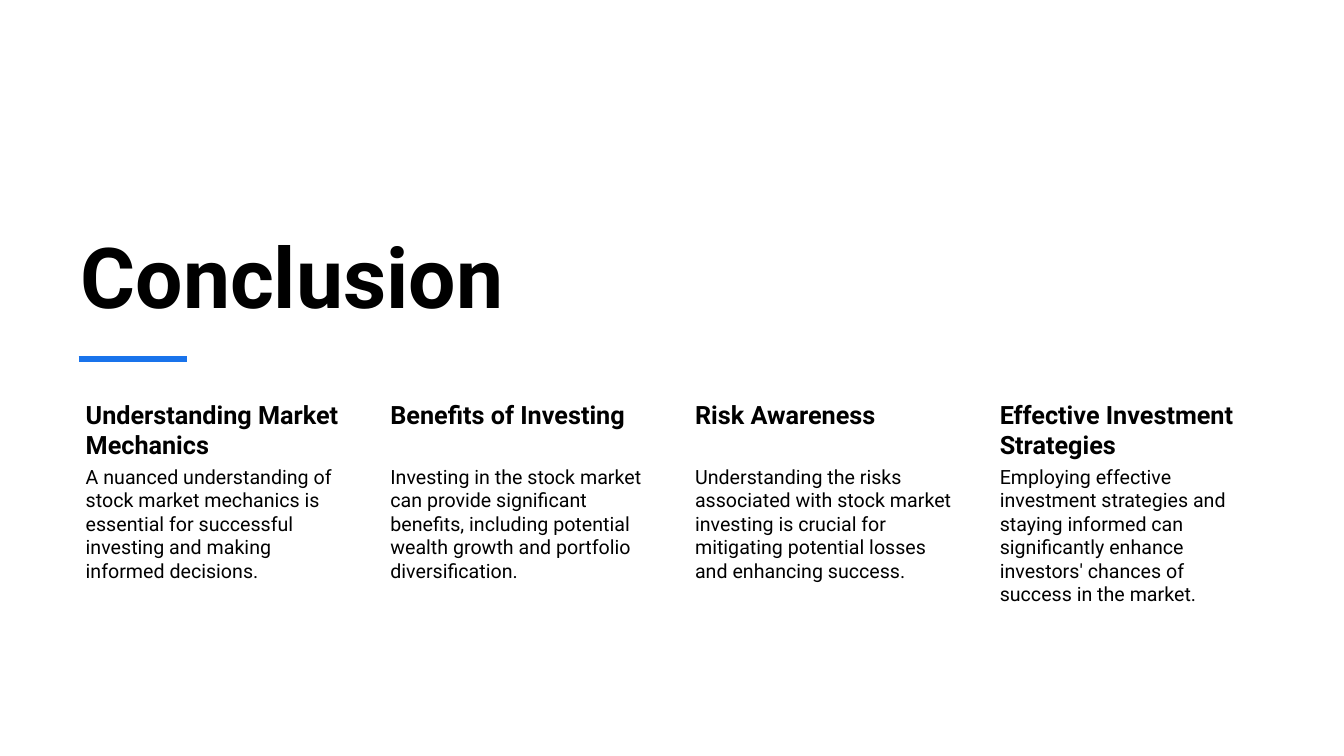
from dataclasses import dataclass

from lxml.etree import SubElement
from pptx import Presentation
from pptx.dml.color import RGBColor
from pptx.enum.shapes import MSO_CONNECTOR
from pptx.enum.text import MSO_ANCHOR, MSO_AUTO_SIZE, PP_ALIGN
from pptx.oxml.ns import qn
from pptx.shapes.group import GroupShape
from pptx.slide import Slide
from pptx.text.text import TextFrame
from pptx.util import Inches, Length, Pt


@dataclass(frozen=True)
class Theme:
    font: str = "Roboto"
    text: RGBColor = RGBColor(0, 0, 0)
    accent: RGBColor = RGBColor(0x19, 0x73, 0xEB)
    title_size: Length = Pt(60)
    heading_size: Length = Pt(18)
    body_size: Length = Pt(14)
    rule_width: Length = Pt(4.5)


@dataclass(frozen=True)
class Area:
    left: Length
    top: Length
    width: Length
    height: Length


@dataclass(frozen=True)
class Takeaway:
    heading: str
    body: str


THEME = Theme()
SLIDE_WIDTH = Inches(13.33)
SLIDE_HEIGHT = Inches(7.5)
MARGIN = 5.25
COLUMN_WIDTH = 20.63
COLUMN_STEP = 22.67
HEADING_TOP = 52.4
HEADING_HEIGHT = 8.8
BODY_HEIGHT = 27.73

TAKEAWAYS = (
    Takeaway(
        "Understanding Market Mechanics",
        "A nuanced understanding of stock market mechanics is essential for "
        "successful investing and making informed decisions.",
    ),
    Takeaway(
        "Benefits of Investing",
        "Investing in the stock market can provide significant benefits, including "
        "potential wealth growth and portfolio diversification.",
    ),
    Takeaway(
        "Risk Awareness",
        "Understanding the risks associated with stock market investing is crucial "
        "for mitigating potential losses and enhancing success.",
    ),
    Takeaway(
        "Effective Investment Strategies",
        "Employing effective investment strategies and staying informed can "
        "significantly enhance investors' chances of success in the market.",
    ),
)


def across(percent: float) -> Length:
    return Length(round(SLIDE_WIDTH * percent / 100))


def down(percent: float) -> Length:
    return Length(round(SLIDE_HEIGHT * percent / 100))


def area(left: float, top: float, width: float, height: float) -> Area:
    return Area(across(left), down(top), across(width), down(height))


def write(frame: TextFrame, text: str, size: Length, bold: bool) -> None:
    frame.word_wrap = True
    frame.auto_size = MSO_AUTO_SIZE.NONE
    para = frame.paragraphs[0]
    para.text = text
    para.alignment = PP_ALIGN.LEFT
    para.font.name = THEME.font
    para.font.size = size
    para.font.bold = bold
    para.font.color.rgb = THEME.text


def add_title(page: Slide, text: str) -> None:
    title = page.shapes.title
    place = area(MARGIN, 22.93, 66.98, 20.53)
    title.left, title.top = place.left, place.top
    title.width, title.height = place.width, place.height
    title.text_frame.vertical_anchor = MSO_ANCHOR.BOTTOM
    title.text_frame.margin_bottom = Inches(0.03)
    write(title.text_frame, text, THEME.title_size, True)


def add_rule(page: Slide) -> None:
    height = down(47.47)
    rule = page.shapes.add_connector(
        MSO_CONNECTOR.STRAIGHT, across(5.85), height, across(13.88), height
    )
    rule.line.color.rgb = THEME.accent
    rule.line.width = THEME.rule_width
    SubElement(rule._element.spPr, qn("a:effectLst"))


def add_text(
    group: GroupShape, place: Area, text: str, size: Length, bold: bool, inset: Length
) -> None:
    box = group.shapes.add_textbox(place.left, place.top, place.width, place.height)
    frame = box.text_frame
    frame.margin_left = Inches(0.15)
    frame.margin_top = frame.margin_right = frame.margin_bottom = inset
    write(frame, text, size, bold)


def add_takeaway(page: Slide, column: int, takeaway: Takeaway) -> None:
    group = page.shapes.add_group_shape()
    left = MARGIN + column * COLUMN_STEP
    heading_area = area(left, HEADING_TOP, COLUMN_WIDTH, HEADING_HEIGHT)
    body_area = area(left, HEADING_TOP + HEADING_HEIGHT, COLUMN_WIDTH, BODY_HEIGHT)
    add_text(group, heading_area, takeaway.heading, THEME.heading_size, True, Inches(0.03))
    add_text(group, body_area, takeaway.body, THEME.body_size, False, Inches(0.02))


def main() -> None:
    deck = Presentation()
    deck.slide_width = SLIDE_WIDTH
    deck.slide_height = SLIDE_HEIGHT
    page = deck.slides.add_slide(deck.slide_layouts.get_by_name("Title Only"))
    add_title(page, "Conclusion")
    add_rule(page)
    for column, takeaway in enumerate(TAKEAWAYS):
        add_takeaway(page, column, takeaway)
    deck.save("out.pptx")


if __name__ == "__main__":
    main()
